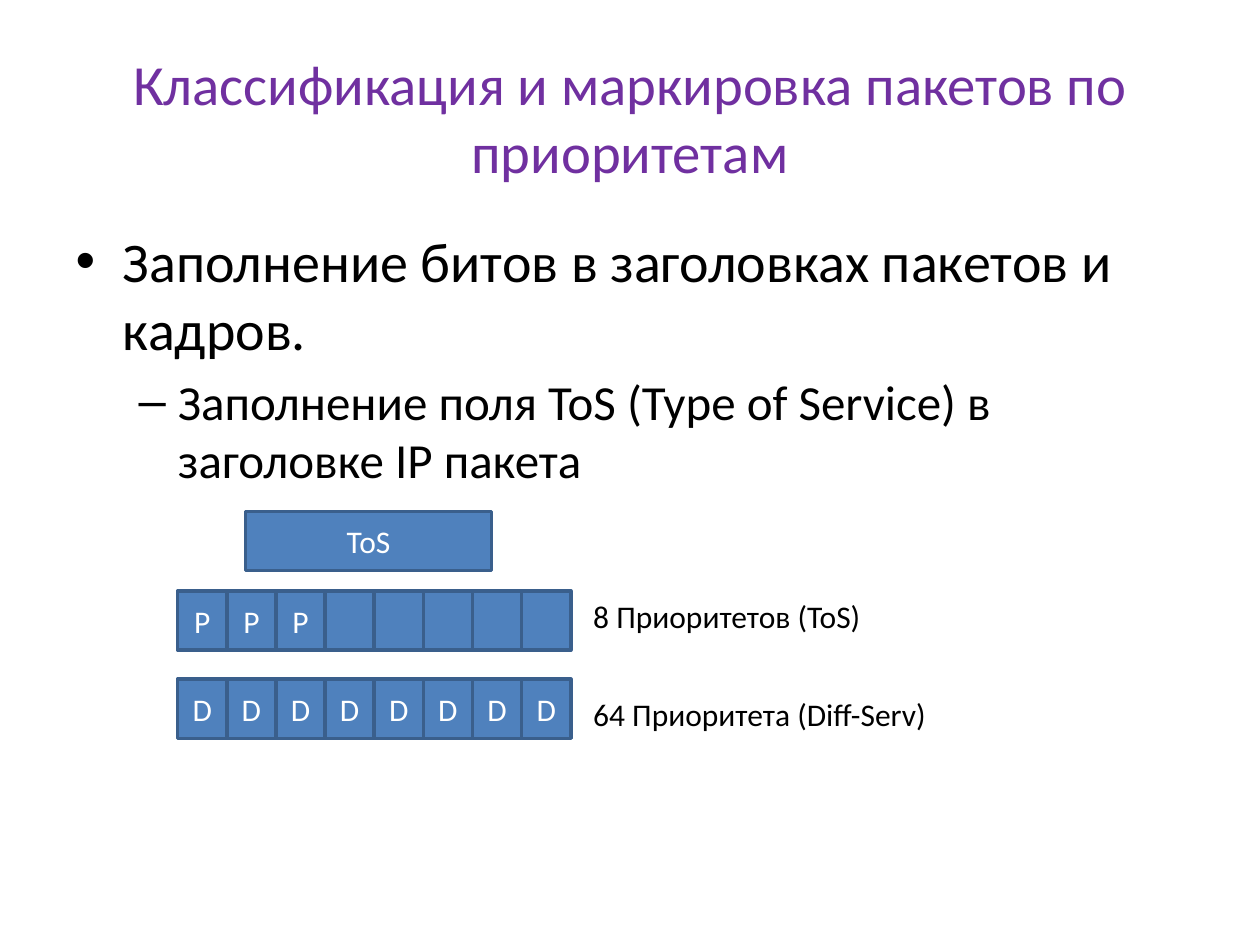
"""Build the slide on classifying and marking packets by priority."""
import pptx
import pptx.dml.color
import pptx.enum.shapes
import pptx.enum.text
import pptx.util

PURPLE = pptx.dml.color.RGBColor(0x70, 0x30, 0xA0)
BLACK = pptx.dml.color.RGBColor(0x00, 0x00, 0x00)
WHITE = pptx.dml.color.RGBColor(0xFF, 0xFF, 0xFF)
BLUE = pptx.dml.color.RGBColor(0x4F, 0x81, 0xBD)
DARK_BLUE = pptx.dml.color.RGBColor(0x3A, 0x5F, 0x8C)

COLUMN = pptx.util.Inches(0.39)
ROW = pptx.util.Inches(0.47)
BITS_LEFT = pptx.util.Inches(1.41)
LABEL_LEFT = pptx.util.Inches(4.61)


def add_span(para, text, size, color):
    span = para.add_run()
    span.text = text
    span.font.name = "Calibri"
    span.font.size = pptx.util.Pt(size)
    span.font.color.rgb = color


def add_field(page, left, top, width, text):
    field = page.shapes.add_shape(
        pptx.enum.shapes.MSO_SHAPE.RECTANGLE, left, top, width, ROW)
    field.shadow.inherit = False
    field.fill.solid()
    field.fill.fore_color.rgb = BLUE
    field.line.color.rgb = DARK_BLUE
    field.line.width = pptx.util.Pt(2)
    if text:
        field.text_frame.vertical_anchor = pptx.enum.text.MSO_ANCHOR.MIDDLE
        para = field.text_frame.paragraphs[0]
        para.alignment = pptx.enum.text.PP_ALIGN.CENTER
        add_span(para, text, 18, WHITE)


deck = pptx.Presentation()
deck.slide_width = pptx.util.Inches(10)
deck.slide_height = pptx.util.Inches(7.5)
page = deck.slides.add_slide(deck.slide_layouts[1])
margin = int(deck.slide_width * 0.05)
content_width = deck.slide_width - 2 * margin

title, body = page.placeholders
for box, top, height in ((title, 0.04, 1.25 / 7.5), (body, 1.75 / 7.5, 0.66)):
    box.left, box.width = margin, content_width
    box.top = int(deck.slide_height * top)
    box.height = int(deck.slide_height * height)
    box.text_frame.auto_size = pptx.enum.text.MSO_AUTO_SIZE.NONE

add_span(title.text_frame.paragraphs[0],
         "Классификация и маркировка пакетов по приоритетам", 32.4, PURPLE)

para = body.text_frame.paragraphs[0]
para.space_before = pptx.util.Pt(0)
add_span(para, "Заполнение битов в заголовках пакетов и кадров.", 32, BLACK)
para = body.text_frame.add_paragraph()
para.level = 1
add_span(para, "Заполнение поля ToS (Type of Service) в заголовке IP пакета", 28, BLACK)

add_field(page, pptx.util.Inches(1.95), pptx.util.Inches(4.06), 5 * COLUMN, "ToS")

bit_rows = (
    (4.69, ["P"] * 3 + [""] * 5, 4.69, "8 Приоритетов (ToS)"),
    (5.39, ["D"] * 8, 5.47, "64 Приоритета (Diff-Serv)"),
)
for top, bits, label_top, label in bit_rows:
    for index, bit in enumerate(bits):
        add_field(page, BITS_LEFT + index * COLUMN, pptx.util.Inches(top), COLUMN, bit)
    box = page.shapes.add_textbox(LABEL_LEFT, pptx.util.Inches(label_top),
                                  pptx.util.Inches(3.75), pptx.util.Inches(0.4))
    box.text_frame.word_wrap = True
    add_span(box.text_frame.paragraphs[0], label, 18, BLACK)

deck.save("out.pptx")
